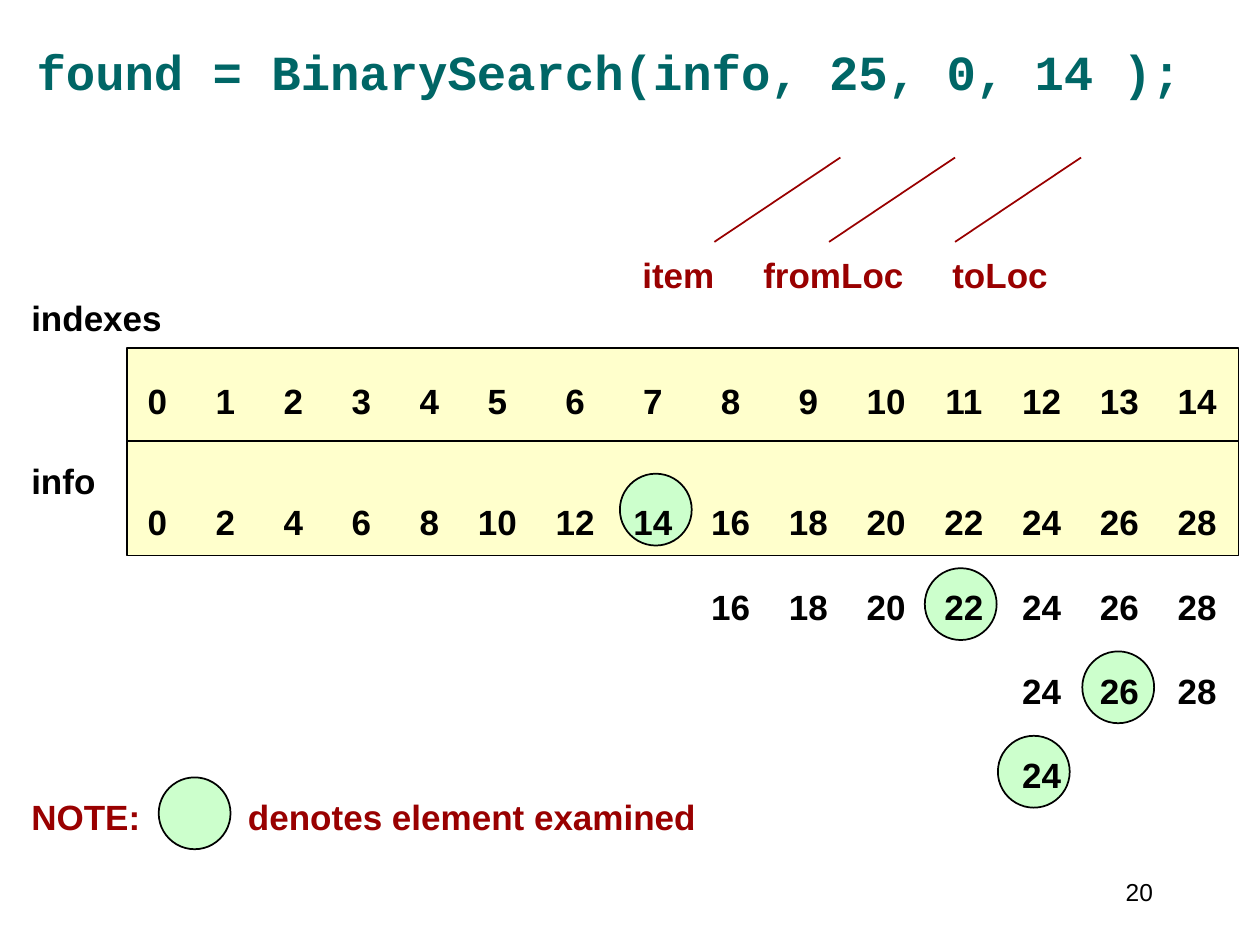
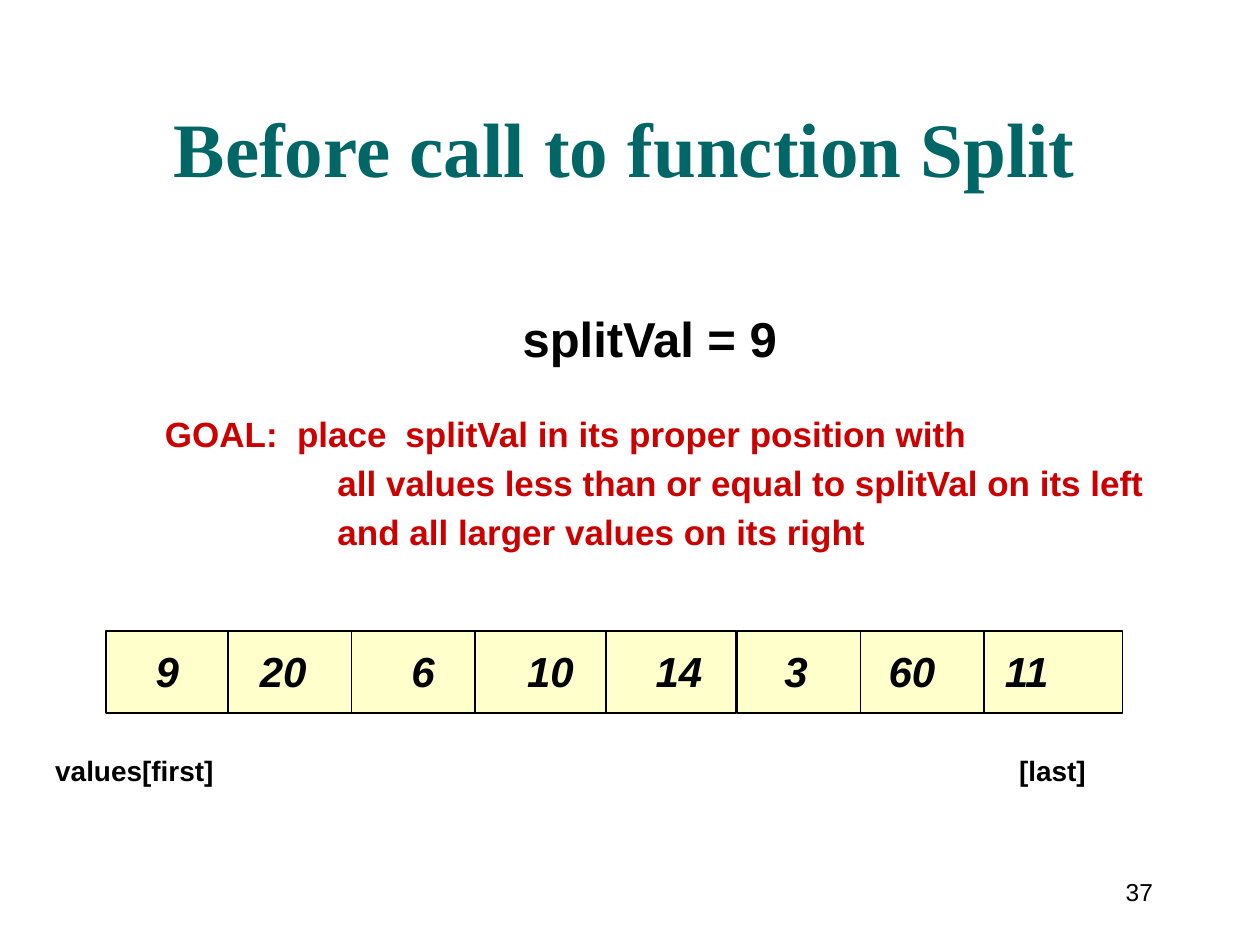
"""Build two slides: a binary search trace and the array before a call to Split."""
from lxml.etree import SubElement
from pptx import Presentation
from pptx.dml.color import RGBColor
from pptx.enum.shapes import MSO_CONNECTOR, MSO_SHAPE
from pptx.enum.text import MSO_ANCHOR, MSO_AUTO_SIZE, PP_ALIGN
from pptx.oxml.ns import qn
from pptx.util import Inches, Pt

COLORS = {"ink": "000000", "title": "006666", "note": "990000", "goal": "CC0000",
          "array": "FFFFCC", "examined": "CCFFCC"}
LABEL = {"name": "Arial", "size": Pt(20), "bold": True}
NUMBER = {"name": "Arial", "size": Pt(14), "bold": False}
SPLIT_VAL = LABEL | {"size": Pt(28)}
ENDS = LABEL | {"size": Pt(16)}
VALUE = LABEL | {"size": Pt(24), "italic": True}
CODE_TITLE = {"name": "Courier New", "size": Pt(28), "bold": True}
HEADING = {"name": "Times New Roman", "size": Pt(44), "bold": True}
PAGE_BOX = (8.58, 6.83, 0.67, 0.5)
TEXT_LEFT, TEXT_WIDTH, INSET = 0.15, 9.77, 0.1

SEARCH_CALL = "found = BinarySearch(info, 25, 0, 14 );"
INDEXES = list(range(15))
INFO = [2 * index for index in INDEXES]
SEARCH_ROWS = [(3.18, INDEXES, 0), (4.14, INFO, 0), (4.81, INFO, 8),
               (5.48, INFO, 12), (6.15, INFO[:13], 12)]
SEARCH_LABELS = [
    (2.18, "note", [(5.1, "item"), (6.06, "fromLoc"), (7.56, "toLoc")]),
    (2.52, "ink", [(0.25, "indexes")]),
    (3.81, "ink", [(0.25, "info")]),
    (6.48, "note", [(0.25, "NOTE:"), (1.97, "denotes element examined")]),
]
EXAMINED = [(1.26, 6.17), (4.92, 3.76), (7.34, 4.51), (8.59, 5.17), (7.92, 5.84)]
EXAMINED_SIZE = 0.57
ARGUMENT_LEFTS = [5.67, 6.58, 7.58]

SPLIT_TITLE = "Before call to function Split"
SPLIT_LABELS = [
    (2.68, "ink", SPLIT_VAL, [(4.15, "splitVal = 9")]),
    (3.44, "goal", LABEL, [(1.31, "GOAL:"), (2.36, "place"),
                           (3.22, "splitVal in its proper position with")]),
    (3.83, "goal", LABEL, [(2.68, "all values less than or equal to splitVal on its left")]),
    (4.22, "goal", LABEL, [(2.68, "and all larger values on its right")]),
    (6.11, "ink", ENDS, [(0.44, "values[first]"), (8.09, "[last]")]),
]
SPLIT_VALUES = [(1.33, 9), (2.25, 20), (3.36, 6), (4.37, 10),
                (5.39, 14), (6.32, 3), (7.24, 60), (8.15, 11)]
SPLIT_BLOCKS = [(0.84, 5.01, 5, 0.65), (5.85, 5.01, 3.06, 0.65)]
SPLIT_DIVIDERS = [1.81, 2.79, 3.77, 4.81, 6.83, 7.81]


def rgb(color):
    return RGBColor.from_string(COLORS[color])


def write(frame, text, look, color="ink", align=PP_ALIGN.LEFT, anchor=MSO_ANCHOR.MIDDLE):
    settings = {"word_wrap": True, "auto_size": MSO_AUTO_SIZE.NONE, "vertical_anchor": anchor}
    for key, value in settings.items():
        setattr(frame, key, value)
    paragraph = frame.paragraphs[0]
    paragraph.alignment = align
    run = paragraph.add_run()
    run.text = text
    for key, value in look.items():
        setattr(run.font, key, value)
    run.font.color.rgb = rgb(color)
    return paragraph


def add_row(slide, middle, cells, look=LABEL, color="ink", stop="l"):
    """Write one line whose entries sit on tab stops at the given x positions."""
    height = 0.5
    box = slide.shapes.add_textbox(*map(Inches, (TEXT_LEFT, middle - height / 2, TEXT_WIDTH, height)))
    origin = TEXT_LEFT + INSET
    starts_at_origin = cells[0][0] == origin
    text = "\t".join(str(entry) for _, entry in cells)
    paragraph = write(box.text_frame, text if starts_at_origin else "\t" + text, look, color)
    stops = SubElement(paragraph._p.get_or_add_pPr(), qn("a:tabLst"))
    for x, _ in cells[starts_at_origin:]:
        SubElement(stops, qn("a:tab"), pos=str(Inches(x - origin)), algn=stop)


def add_block(slide, kind, box, fill):
    block = slide.shapes.add_shape(kind, *map(Inches, box))
    block.shadow.inherit = False
    block.fill.solid()
    block.fill.fore_color.rgb = rgb(fill)
    block.line.color.rgb = rgb("ink")
    block.line.width = Pt(1)


def add_line(slide, ends, color="ink"):
    line = slide.shapes.add_connector(MSO_CONNECTOR.STRAIGHT, *map(Inches, ends))
    line.line.color.rgb = rgb(color)
    line.line.width = Pt(1)
    SubElement(line._element.spPr, qn("a:effectLst"))


def start_slide(deck, heading, box, look, anchor, page):
    slide = deck.slides.add_slide(deck.slide_layouts[5])
    title = slide.shapes.title
    for key, value in zip(("left", "top", "width", "height"), box):
        setattr(title, key, Inches(value))
    write(title.text_frame, heading, look, "title", PP_ALIGN.CENTER, anchor)
    number = slide.shapes.add_textbox(*map(Inches, PAGE_BOX))
    write(number.text_frame, page, NUMBER, align=PP_ALIGN.RIGHT)
    return slide


def index_center(index):
    """Return the x centre of a column; two-digit columns are wider."""
    return 1.25 + 0.54 * min(index, 5) + 0.617 * max(index - 5, 0)


def build_search(deck):
    slide = start_slide(deck, SEARCH_CALL, (0.17, 0.15, 9.33, 0.83), CODE_TITLE,
                        MSO_ANCHOR.MIDDLE, "20")
    add_block(slide, MSO_SHAPE.RECTANGLE, (1.01, 2.76, 8.82, 1.65), "array")
    add_line(slide, (1, 3.5, 9.83, 3.5))
    for left in ARGUMENT_LEFTS:
        add_line(slide, (left + 1, 1.25, left, 1.92), "note")
    for left, top in EXAMINED:
        add_block(slide, MSO_SHAPE.OVAL, (left, top, EXAMINED_SIZE, EXAMINED_SIZE), "examined")
    for middle, color, cells in SEARCH_LABELS:
        add_row(slide, middle, cells, color=color)
    for middle, numbers, first in SEARCH_ROWS:
        cells = [(index_center(i), numbers[i]) for i in range(first, len(numbers))]
        add_row(slide, middle, cells, stop="ctr")


def build_split(deck):
    slide = start_slide(deck, SPLIT_TITLE, (0.67, 0.33, 8.58, 1.25), HEADING,
                        MSO_ANCHOR.BOTTOM, "37")
    for box in SPLIT_BLOCKS:
        add_block(slide, MSO_SHAPE.RECTANGLE, box, "array")
    for x in SPLIT_DIVIDERS:
        add_line(slide, (x, 5, x, 5.67))
    for middle, color, look, cells in SPLIT_LABELS:
        add_row(slide, middle, cells, look, color)
    add_row(slide, 5.32, SPLIT_VALUES, VALUE, stop="ctr")


def main():
    deck = Presentation()
    deck.slide_width, deck.slide_height = Inches(10), Inches(7.5)
    build_search(deck)
    build_split(deck)
    deck.save("out.pptx")


if __name__ == "__main__":
    main()
